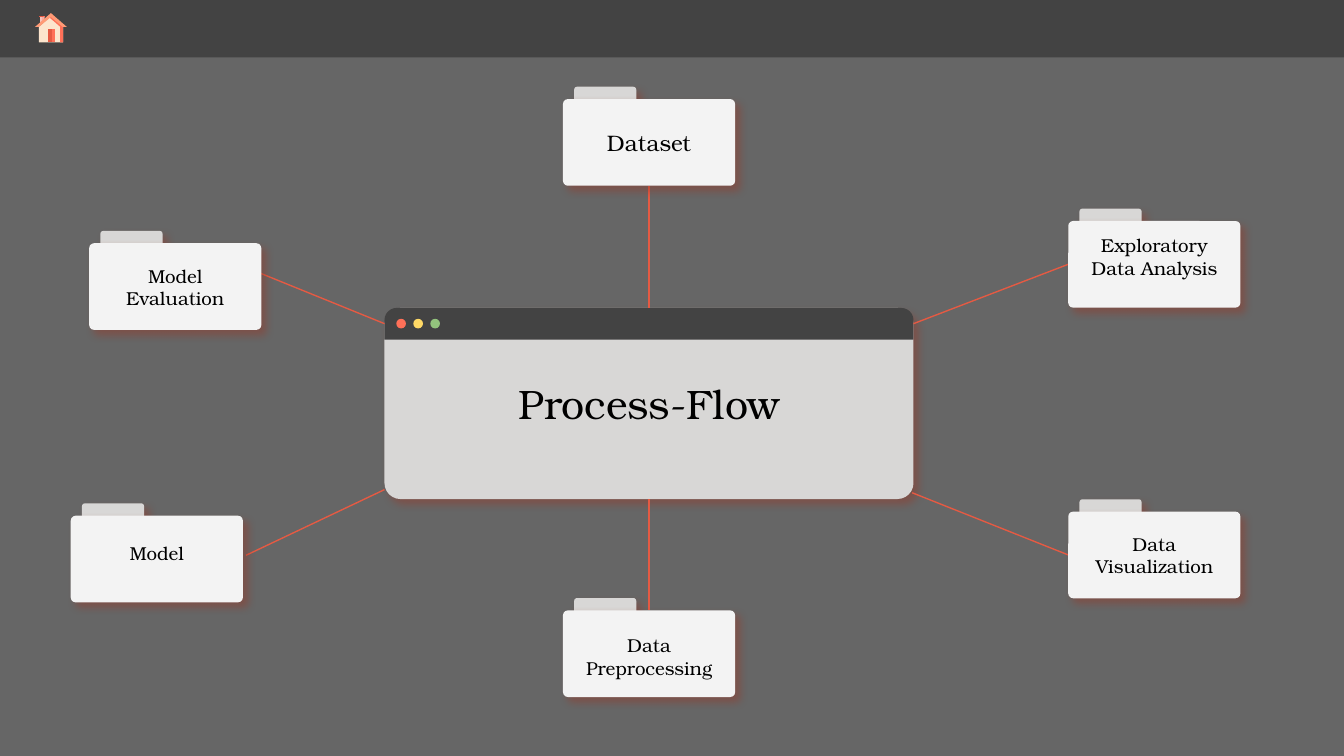
"""Build the process-flow slide: a window linked to six folders."""
from dataclasses import dataclass
from typing import Any, NamedTuple

from lxml.etree import SubElement
from pptx import Presentation
from pptx.dml.color import RGBColor
from pptx.enum.shapes import MSO_CONNECTOR, MSO_SHAPE
from pptx.enum.text import MSO_ANCHOR, MSO_AUTO_SIZE, PP_ALIGN
from pptx.oxml.ns import qn
from pptx.util import Pt

RECT = MSO_SHAPE.RECTANGLE
ROUND = MSO_SHAPE.ROUNDED_RECTANGLE
TOP_ROUND = MSO_SHAPE.ROUND_2_SAME_RECTANGLE
DOT = MSO_SHAPE.OVAL
LINE = MSO_CONNECTOR.STRAIGHT
CENTER = PP_ALIGN.CENTER
TOP, MIDDLE = MSO_ANCHOR.TOP, MSO_ANCHOR.MIDDLE
GROW, FIXED = MSO_AUTO_SIZE.SHAPE_TO_FIT_TEXT, MSO_AUTO_SIZE.NONE


@dataclass(frozen=True)
class Theme:
    font: str = "TeX Gyre Bonum"
    ink: str = "000000"
    ground: str = "666666"
    bar: str = "434343"
    panel: str = "D8D7D6"
    paper: str = "F3F3F3"
    shade: str = "963A2A"
    red: str = "E55A43"
    coral: str = "FF7058"
    peach: str = "FF9A75"
    cream: str = "FCE5CD"
    blush: str = "F6C5BE"
    rose: str = "F9ABA0"
    gold: str = "FFD966"
    green: str = "93C47D"
    title: float = 22
    large: float = 12
    small: float = 10
    inset: float = 7.2
    stroke: float = 0.75


THEME = Theme()


class Box(NamedTuple):
    left: float
    top: float
    width: float
    height: float


class Folder(NamedTuple):
    label: str
    left: float
    top: float
    drop: float
    width: float
    height: float
    size: float = THEME.small


class Link(NamedTuple):
    x1: float
    y1: float
    x2: float
    y2: float


class Patch(NamedTuple):
    fill: str
    points: list[tuple[float, float]]


PAGE = Box(0, 0, 720, 405)
WINDOW = Box(206, 165, 283.4, 102.4)
FOLDERS = [
    Folder("Dataset", 301.6, 53.1, 8.8, 83.5, 28.8, THEME.large),
    Folder("Exploratory Data Analysis", 572.3, 118.4, -0.2, 83.5, 51),
    Folder("Data Visualization", 572.3, 274.1, 4, 96.5, 38.9),
    Folder("Data Preprocessing", 301.6, 327, 5.6, 96.5, 38.9),
    Folder("Model", 37.9, 276.3, 8, 96.5, 26.6),
    Folder("Model Evaluation", 47.8, 130.3, 4.4, 96.5, 38.9),
]
LINKS = [
    Link(347.7, 99.5, 347.7, 165),
    Link(489.4, 173.4, 572.3, 141.6),
    Link(488.7, 264, 572.3, 297.3),
    Link(347.7, 267.4, 347.7, 327),
    Link(206, 262.3, 131.8, 297.5),
    Link(128.2, 141.8, 206, 173.4),
]


def block(left: float, top: float, right: float, base: float) -> list[tuple[float, float]]:
    """Return the corners of an upright block."""
    return [(left, top), (left, base), (right, base), (right, top)]


HOUSE = [
    Patch(THEME.blush, [(21.5, 9.2), (21.5, 12.4), (23.8, 10.3), (23.8, 9.2)]),
    Patch(THEME.rose, [(22.4, 9.2), (22.4, 11.6), (23.8, 10.3), (23.8, 9.2)]),
    Patch(THEME.cream, [(27.3, 8.8), (20.8, 14.4), (20.8, 22.7), (33.8, 22.7), (33.8, 14.4)]),
    Patch(THEME.coral, [(27.3, 8.8), (26.5, 9.4), (32.3, 14.4), (32.3, 22.7),
                        (33.8, 22.7), (33.8, 14.4)]),
    Patch(THEME.red, block(20.9, 8.4, 24, 9.2)),
    Patch(THEME.red, block(25.5, 15.8, 29.3, 22.7)),
    Patch(THEME.coral, block(28.1, 15.8, 29.3, 22.7)),
    Patch(THEME.peach, [(27.3, 7), (18.8, 14.4), (20.9, 14.4), (27.3, 9.1),
                        (33.7, 14.4), (35.8, 14.4)]),
    Patch(THEME.coral, block(23, 8.4, 24, 9.2)),
]


def paint(shape: Any, fill: str) -> None:
    """Give a shape a flat fill with no outline or shadow."""
    shape.shadow.inherit = False
    shape.fill.solid()
    shape.fill.fore_color.rgb = RGBColor.from_string(fill)
    shape.line.fill.background()


def cast(shape: Any, angle: int) -> None:
    """Cast a soft shadow at the given angle."""
    effects = shape.element.spPr.find(qn("a:effectLst"))
    outer = SubElement(effects, qn("a:outerShdw"), blurRad=str(Pt(4.5)), dist=str(Pt(3.8)),
                       dir=str(angle * 60000), algn="bl", rotWithShape="0")
    tint = SubElement(outer, qn("a:srgbClr"), val=THEME.shade)
    SubElement(tint, qn("a:alpha"), val="47000")


def add_form(shapes: Any, kind: Any, box: Box, fill: str, *bends: float) -> Any:
    """Add a painted preset shape."""
    shape = shapes.add_shape(kind, *map(Pt, box))
    for place, bend in enumerate(bends):
        shape.adjustments[place] = bend
    paint(shape, fill)
    return shape


def write(shape: Any, text: str, size: float, anchor: Any, fit: Any) -> None:
    """Write one centred run into a shape."""
    frame = shape.text_frame
    frame.word_wrap = True
    frame.auto_size = fit
    frame.vertical_anchor = anchor
    frame.margin_left = frame.margin_right = Pt(THEME.inset)
    frame.margin_top = frame.margin_bottom = Pt(THEME.inset)
    line = frame.paragraphs[0]
    line.alignment = CENTER
    run = line.add_run()
    run.text = text
    run.font.name = THEME.font
    run.font.size = Pt(size)
    run.font.color.rgb = RGBColor.from_string(THEME.ink)


def add_house(shapes: Any) -> None:
    """Draw the house icon from its patches."""
    group = shapes.add_group_shape().shapes
    for patch in HOUSE:
        first, *rest = [(Pt(x), Pt(y)) for x, y in patch.points]
        pen = group.build_freeform(*first)
        pen.add_line_segments(rest)
        paint(pen.convert_to_shape(), patch.fill)


def add_window(slide: Any) -> None:
    """Draw the window and lay the title over it."""
    group = slide.shapes.add_group_shape().shapes
    cast(add_form(group, ROUND, WINDOW, THEME.panel, 0.084), 49)
    add_form(group, TOP_ROUND, WINDOW._replace(height=17), THEME.bar, 0.383, 0)
    for place, fill in enumerate((THEME.coral, THEME.gold, THEME.green)):
        spot = Box(WINDOW.left + 6.3 + 9.1 * place, WINDOW.top + 5.8, 5.2, 5.2)
        add_form(group, DOT, spot, fill)
    title = slide.shapes.title
    title.left, title.top, title.width, title.height = map(Pt, WINDOW)
    write(title, "Process-Flow", THEME.title, MIDDLE, FIXED)
    title.element.getparent().append(title.element)


def add_link(shapes: Any, link: Link) -> None:
    """Draw a thin line between the window and a folder."""
    line = shapes.add_connector(LINE, *map(Pt, link))
    line.line.color.rgb = RGBColor.from_string(THEME.red)
    line.line.width = Pt(THEME.stroke)
    SubElement(line.element.spPr, qn("a:effectLst"))


def add_folder(shapes: Any, item: Folder) -> None:
    """Draw a folder with its tab and label."""
    body = Box(item.left, item.top, 92.2, 46.4)
    group = shapes.add_group_shape().shapes
    tab = Box(body.left + 6, body.top - 6.6, 33.3, 16)
    cast(add_form(group, ROUND, tab, THEME.panel, 0.098), 46)
    cast(add_form(group, ROUND, body, THEME.paper, 0.056), 46)
    left = body.left + (body.width - item.width) / 2
    place = Box(left, body.top + item.drop, item.width, item.height)
    write(shapes.add_textbox(*map(Pt, place)), item.label, item.size, TOP, GROW)


def main() -> None:
    """Build and save the deck."""
    deck = Presentation()
    deck.slide_width, deck.slide_height = Pt(PAGE.width), Pt(PAGE.height)
    slide = deck.slides.add_slide(deck.slide_layouts.get_by_name("Title Only"))
    slide.background.fill.solid()
    slide.background.fill.fore_color.rgb = RGBColor.from_string(THEME.ground)
    add_form(slide.shapes, RECT, PAGE._replace(height=30.7), THEME.bar)
    add_house(slide.shapes)
    add_window(slide)
    for link in LINKS:
        add_link(slide.shapes, link)
    for item in FOLDERS:
        add_folder(slide.shapes, item)
    deck.save("out.pptx")


if __name__ == "__main__":
    main()
